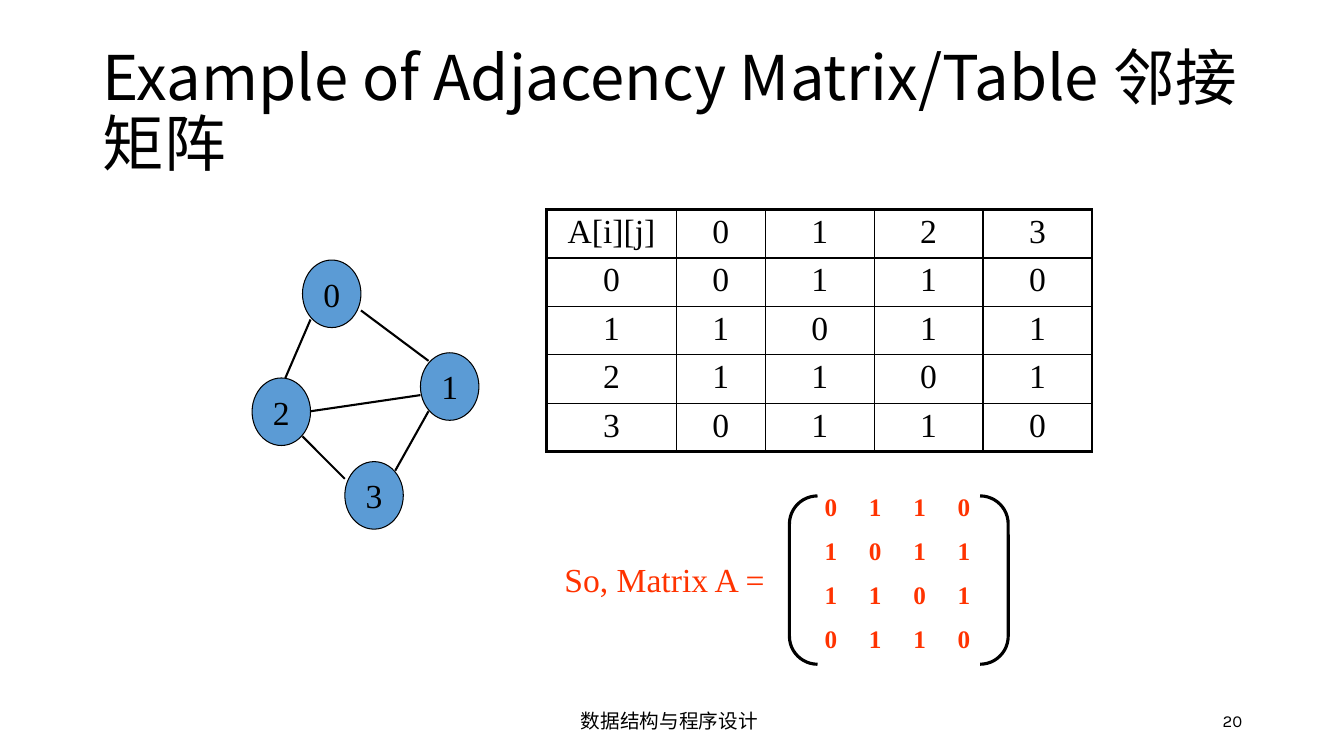
from lxml import etree
from pptx import Presentation
from pptx.dml.color import RGBColor
from pptx.enum.shapes import MSO_CONNECTOR as Connector, MSO_SHAPE as Shape
from pptx.enum.text import MSO_ANCHOR as Anchor, PP_ALIGN as Align
from pptx.oxml.ns import qn
from pptx.util import Inches, Pt

COLORS = {"ink": "000000", "node": "5B9BD5", "matrix": "FF3300"}
SERIF, SANS, FOOTER = "Times New Roman", "Noto Sans CJK SC", "Karla"

TITLE = "Example of Adjacency Matrix/Table 邻接矩阵"
MATRIX = ["0110", "1011", "1101", "0110"]
NODES = {"0": (3, 2.58), "1": (4.17, 3.5), "3": (3.42, 4.58), "2": (2.5, 3.75)}
NODE_SIZE = (0.58, 0.67)
EDGES = [
    ((3.08, 3.17), (2.83, 3.75)),
    ((3, 4.33), (3.42, 4.75)),
    ((3.08, 4.08), (4.17, 3.92)),
    ((3.58, 3.08), (4.25, 3.58)),
    ((4.25, 4.08), (3.92, 4.67)),
]
TABLE_AT = (5.42, 2.08)
COLUMN_WIDTHS = [1.29, 0.88, 1.08, 1.08, 1.08]
ROW_HEIGHT = 0.47
MATRIX_PITCH = 0.44


def color(name):
    return RGBColor.from_string(COLORS[name])


def inches(values):
    return [Inches(value) for value in values]


def write(frame, lines, size, font=SERIF, ink="ink", align=Align.LEFT, anchor=Anchor.TOP,
          wrap=True, bold=False, spacing=None, gap=0, tabs=()):
    """Fill a text frame; tabs are left tab stops in inches, gap is points between lines."""
    frame.word_wrap = wrap
    frame.vertical_anchor = anchor
    for index, line in enumerate(lines):
        para = frame.paragraphs[0] if index == 0 else frame.add_paragraph()
        if tabs:
            stops = etree.SubElement(para._p.get_or_add_pPr(), qn("a:tabLst"))
            for stop in tabs:
                etree.SubElement(stops, qn("a:tab"), pos=str(Inches(stop)), algn="l")
        para.alignment = align
        para.line_spacing = spacing
        if index:
            para.space_before = Pt(gap)
        span = para.add_run()
        span.text = line
        span.font.size = Pt(size)
        span.font.name = font
        span.font.bold = bold
        span.font.color.rgb = color(ink)
        etree.SubElement(span._r.get_or_add_rPr(), qn("a:ea"), typeface=SANS)


def add_text(slide, area, lines, size, **style):
    box = slide.shapes.add_textbox(*inches(area))
    write(box.text_frame, lines, size, **style)


def add_outline(slide, kind, area, width):
    shape = slide.shapes.add_shape(kind, *inches(area))
    shape.shadow.inherit = False
    shape.fill.background()
    shape.line.color.rgb = color("ink")
    shape.line.width = Pt(width)
    return shape


def add_graph(slide):
    for label, place in NODES.items():
        node = add_outline(slide, Shape.OVAL, place + NODE_SIZE, 0.75)
        node.fill.solid()
        node.fill.fore_color.rgb = color("node")
        write(node.text_frame, [label], 24, align=Align.CENTER, anchor=Anchor.MIDDLE, wrap=False)
    for start, end in EDGES:
        edge = slide.shapes.add_connector(Connector.STRAIGHT, *inches(start + end))
        edge.line.color.rgb = color("ink")
        edge.line.width = Pt(1.5)
        etree.SubElement(edge._element.spPr, qn("a:effectLst"))


def set_borders(cell, outer):
    """Draw the four borders, heavier on the sides named in outer."""
    props = cell._tc.get_or_add_tcPr()
    for side in "LRTB":
        width = Pt(2.25 if side in outer else 1)
        border = etree.SubElement(props, qn(f"a:ln{side}"), w=str(width))
        fill = etree.SubElement(border, qn("a:solidFill"))
        etree.SubElement(fill, qn("a:srgbClr"), val=COLORS["ink"])


def add_adjacency_table(slide):
    rows = [["A[i][j]", *NODES_IN_ORDER]]
    rows += [[label, *values] for label, values in zip(NODES_IN_ORDER, MATRIX)]
    size = (sum(COLUMN_WIDTHS), ROW_HEIGHT * len(rows))
    table = slide.shapes.add_table(len(rows), len(COLUMN_WIDTHS), *inches(TABLE_AT + size)).table
    table.first_row = table.horz_banding = False
    for column, width in zip(table.columns, COLUMN_WIDTHS):
        column.width = Inches(width)
    last_row, last_column = len(rows) - 1, len(COLUMN_WIDTHS) - 1
    for r, row in enumerate(rows):
        table.rows[r].height = Inches(ROW_HEIGHT)
        for c, value in enumerate(row):
            cell = table.cell(r, c)
            edges = {"L": c == 0, "R": c == last_column, "T": r == 0, "B": r == last_row}
            set_borders(cell, [side for side, outer in edges.items() if outer])
            cell.fill.background()
            cell.margin_top = cell.margin_bottom = Inches(0.04)
            write(cell.text_frame, [value], 24, align=Align.CENTER)


def add_matrix(slide):
    add_text(slide, (5.5, 5.5, 2.42, 0.5), ["So, Matrix A ="], 24, ink="matrix")
    bracket = add_outline(slide, Shape.DOUBLE_BRACKET, (7.83, 4.92, 2.17, 1.67), 2.25)
    bracket.adjustments[0] = 0.167
    add_text(slide, (8.08, 4.83, 1.83, 1.76), ["\t".join(row) for row in MATRIX], 18,
             ink="matrix", bold=True, gap=9.8,
             tabs=[MATRIX_PITCH * step for step in range(1, len(MATRIX))])


NODES_IN_ORDER = sorted(NODES)


def main():
    deck = Presentation()
    deck.slide_width, deck.slide_height = Inches(13.33), Inches(7.5)
    slide = deck.slides.add_slide(deck.slide_layouts[6])
    add_text(slide, (0.92, 0.4, 11.5, 1.45), [TITLE], 44, font=SANS,
             anchor=Anchor.MIDDLE, spacing=0.9)
    add_graph(slide)
    add_adjacency_table(slide)
    add_matrix(slide)
    add_text(slide, (4.39, 6.95, 4.5, 0.4), ["数据结构与程序设计"], 14, font=FOOTER,
             align=Align.CENTER, anchor=Anchor.MIDDLE)
    add_text(slide, (9.42, 6.95, 3, 0.4), ["20"], 12, font=FOOTER,
             align=Align.RIGHT, anchor=Anchor.MIDDLE)
    deck.save("out.pptx")


if __name__ == "__main__":
    main()
